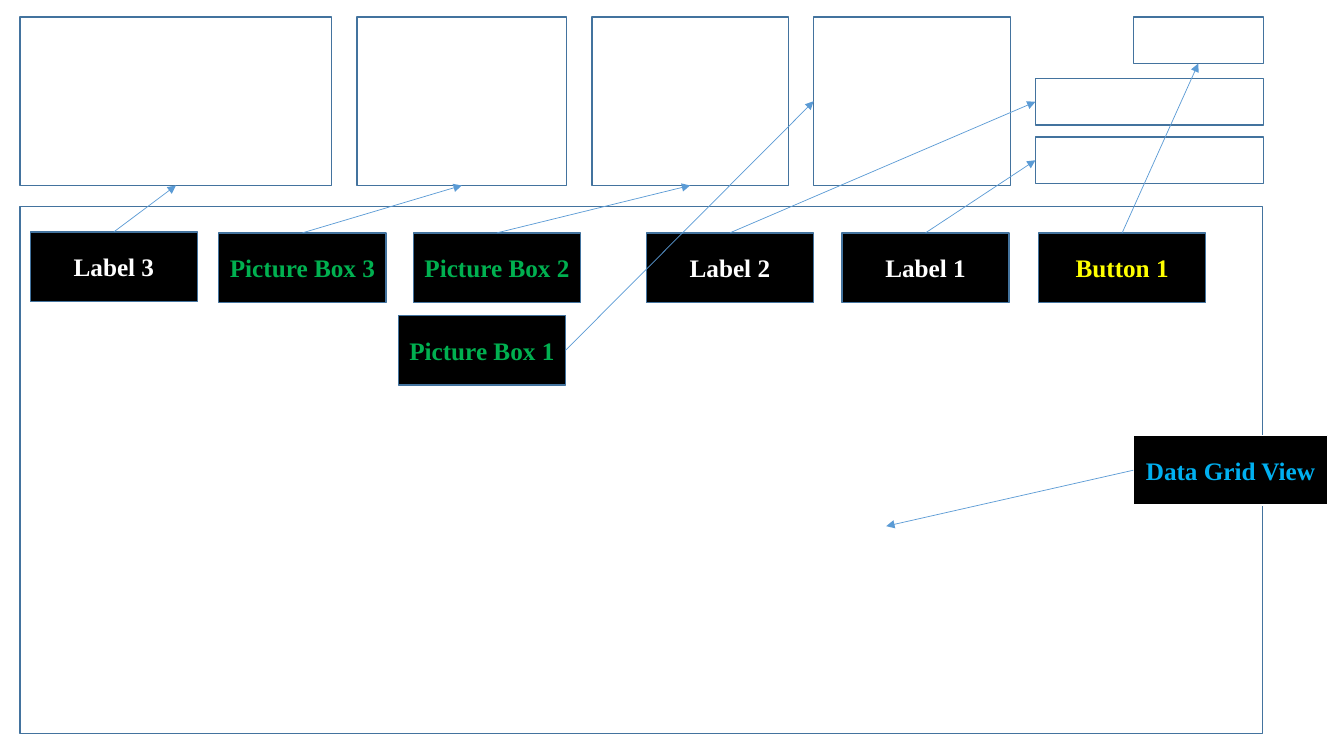
from lxml.etree import SubElement
from pptx import Presentation
from pptx.dml.color import RGBColor
from pptx.enum.shapes import MSO_CONNECTOR, MSO_SHAPE
from pptx.enum.text import MSO_ANCHOR, PP_ALIGN
from pptx.oxml.ns import qn
from pptx.util import Inches, Pt

BORDER, ARROW, BLACK, WHITE = "43739E", "5B9BD5", "000000", "FFFFFF"
GREEN, YELLOW, CYAN = "00B050", "FFFF00", "00B0F0"
TOP, BOTTOM, LEFT, RIGHT = 0, 2, 1, 3
TAG_WIDTH, TAG_HEIGHT, TAG_ROW = 1.66, 0.69, 2.31

# Form controls: left, top, width, height
CONTROLS = {
    "label 3": (0.2, 0.17, 3.09, 1.67),
    "picture 3": (3.54, 0.17, 2.08, 1.67),
    "picture 2": (5.87, 0.17, 1.95, 1.67),
    "picture 1": (8.07, 0.17, 1.95, 1.67),
    "button 1": (11.24, 0.17, 1.29, 0.46),
    "label 2": (10.27, 0.78, 2.26, 0.46),
    "label 1": (10.27, 1.36, 2.26, 0.46),
    "grid": (0.2, 2.05, 12.32, 5.23),
}
# Tags: text, left, top, width, text colour, border, start side, control, end side
TAGS = [
    ("Label 3", 0.3, 2.3, TAG_WIDTH, WHITE, BORDER, TOP, "label 3", BOTTOM),
    ("Label 1", 8.35, TAG_ROW, TAG_WIDTH, WHITE, BORDER, TOP, "label 1", LEFT),
    ("Label 2", 6.41, TAG_ROW, TAG_WIDTH, WHITE, BORDER, TOP, "label 2", LEFT),
    ("Button 1", 10.3, TAG_ROW, TAG_WIDTH, YELLOW, BORDER, TOP, "button 1", BOTTOM),
    ("Picture Box 3", 2.17, TAG_ROW, TAG_WIDTH, GREEN, BORDER, TOP, "picture 3", BOTTOM),
    ("Picture Box 2", 4.1, TAG_ROW, TAG_WIDTH, GREEN, BORDER, TOP, "picture 2", BOTTOM),
    ("Data Grid View", 11.24, 4.32, 1.93, CYAN, WHITE, LEFT, "grid", None),
    ("Picture Box 1", 3.95, 3.13, TAG_WIDTH, GREEN, BORDER, RIGHT, "picture 1", LEFT),
]
GRID_POINT = (8.79, 5.22)
TAG_FONT = {"name": "Times New Roman", "size": Pt(18), "bold": True}


def rgb(color):
    return RGBColor.from_string(color)


def add_box(slide, bounds, border, fill=None):
    box = slide.shapes.add_shape(MSO_SHAPE.RECTANGLE, *map(Inches, bounds))
    box.shadow.inherit = False
    box.line.color.rgb = rgb(border)
    box.line.width = Pt(1)
    if fill:
        box.fill.solid()
        box.fill.fore_color.rgb = rgb(fill)
    else:
        box.fill.background()
    return box


def write_tag(tag, text, color):
    frame = tag.text_frame
    frame.word_wrap = False
    frame.vertical_anchor = MSO_ANCHOR.MIDDLE
    paragraph = frame.paragraphs[0]
    paragraph.alignment = PP_ALIGN.CENTER
    run = paragraph.add_run()
    run.text = text
    for attribute, value in TAG_FONT.items():
        setattr(run.font, attribute, value)
    run.font.color.rgb = rgb(color)


def add_arrow(slide, tag, start_side, control, end_side):
    """Point from a tag to a control's side, or into the grid if no side is given."""
    end = map(Inches, GRID_POINT)
    arrow = slide.shapes.add_connector(MSO_CONNECTOR.STRAIGHT, 0, 0, *end)
    arrow.begin_connect(tag, start_side)
    if end_side is not None:
        arrow.end_connect(control, end_side)
    arrow.line.color.rgb = rgb(ARROW)
    arrow.line.width = Pt(0.5)
    SubElement(arrow.line._get_or_add_ln(), qn("a:tailEnd"), type="triangle")
    SubElement(arrow._element.spPr, qn("a:effectLst"))


def main():
    presentation = Presentation()
    presentation.slide_width = Inches(13.33)
    presentation.slide_height = Inches(7.5)
    slide = presentation.slides.add_slide(presentation.slide_layouts[6])

    controls = {key: add_box(slide, bounds, BORDER) for key, bounds in CONTROLS.items()}
    arrows = []
    for text, left, top, width, color, border, start_side, target, end_side in TAGS:
        tag = add_box(slide, (left, top, width, TAG_HEIGHT), border, BLACK)
        write_tag(tag, text, color)
        arrows.append((tag, start_side, controls[target], end_side))
    for arrow in arrows:
        add_arrow(slide, *arrow)

    presentation.save("out.pptx")


if __name__ == "__main__":
    main()
